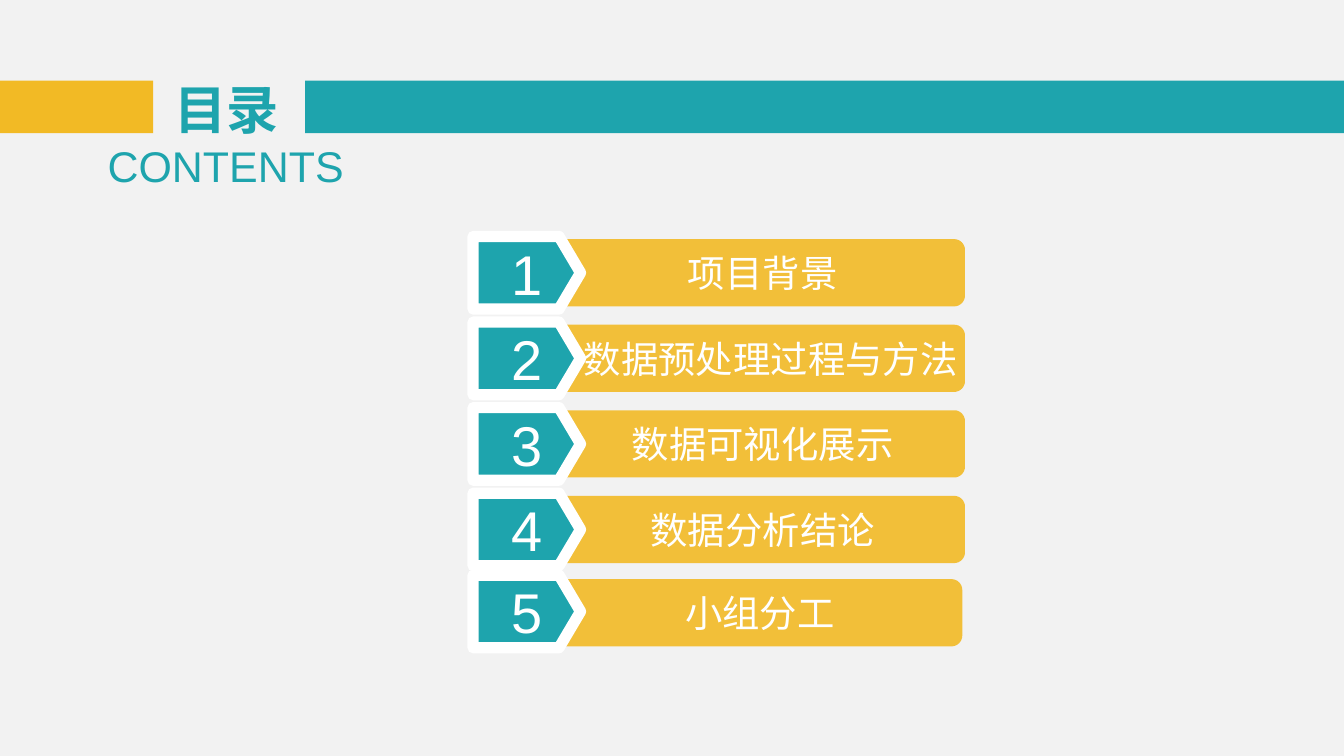
from dataclasses import dataclass
from math import cos, pi, sin

from lxml.etree import SubElement
from pptx import Presentation
from pptx.dml.color import RGBColor
from pptx.enum.shapes import MSO_SHAPE
from pptx.enum.text import MSO_ANCHOR, PP_ALIGN
from pptx.oxml.ns import qn
from pptx.util import Inches, Pt

TEAL, YELLOW, WHITE, GREY = "1EA4AD", "F2BA25", "FFFFFF", "F2F2F2"
FONT = "Arial"
BAR_WIDTH, BAR_HEIGHT, BAR_RADIUS = 3.01, 0.5, 0.08
TAG_LEFT, TAG_WIDTH, TAG_HEIGHT, TAG_POINT = 3.52, 0.8, 0.54, 0.16


@dataclass
class Entry:
    number: int
    title: str
    tag_top: float
    bar_left: float = 4.17
    bar_drop: float = 0.02
    indent: float = 0


def paint(fill, color: str) -> None:
    fill.solid()
    fill.fore_color.rgb = RGBColor.from_string(color)


def write(shape, text: str, size: float, color: str, bold: bool = False,
          anchor=MSO_ANCHOR.MIDDLE, indent: float = 0) -> None:
    frame = shape.text_frame
    frame.word_wrap = True
    frame.vertical_anchor = anchor
    frame.margin_left = Inches(indent)
    frame.margin_right = frame.margin_top = frame.margin_bottom = 0
    para = frame.paragraphs[0]
    para.alignment = PP_ALIGN.CENTER
    span = para.add_run()
    span.text = text
    span.font.name = FONT
    span.font.size = Pt(size)
    span.font.bold = bold
    span.font.color.rgb = RGBColor.from_string(color)


def add_band(page, left: float, width: float, color: str) -> None:
    band = page.shapes.add_shape(MSO_SHAPE.RECTANGLE, Inches(left), Inches(0.6),
                                 Inches(width), Inches(0.39))
    band.shadow.inherit = False
    paint(band.fill, color)
    band.line.fill.background()


def add_label(page, left: float, top: float, width: float, height: float,
              text: str, size: float, bold: bool, anchor) -> None:
    box = page.shapes.add_textbox(Inches(left), Inches(top),
                                  Inches(width), Inches(height))
    write(box, text, size, TEAL, bold, anchor)


def add_outline(page, points: list[tuple[float, float]], color: str):
    corners = [(Inches(x), Inches(y)) for x, y in points]
    builder = page.shapes.build_freeform(*corners[0])
    builder.add_line_segments(corners[1:], close=True)
    shape = builder.convert_to_shape()
    shape.shadow.inherit = False
    paint(shape.fill, color)
    return shape


def add_bar(page, entry: Entry) -> None:
    left, top = entry.bar_left, entry.tag_top + entry.bar_drop
    right, bottom = left + BAR_WIDTH, top + BAR_HEIGHT
    angles = [step * pi / 16 for step in range(9)]
    upper = [(right - BAR_RADIUS * (1 - sin(a)), top + BAR_RADIUS * (1 - cos(a)))
             for a in angles]
    lower = [(x, top + bottom - y) for x, y in reversed(upper)]
    bar = add_outline(page, [(left, top), *upper, *lower, (left, bottom)], YELLOW)
    bar.line.fill.background()
    color = bar._element.spPr.find(qn("a:solidFill")).find(qn("a:srgbClr"))
    SubElement(color, qn("a:alpha"), val="90000")
    write(bar, entry.title, 20, WHITE, indent=entry.indent)


def add_tag(page, entry: Entry) -> None:
    top, bottom = entry.tag_top, entry.tag_top + TAG_HEIGHT
    right = TAG_LEFT + TAG_WIDTH
    tag = add_outline(page, [
        (TAG_LEFT, top), (right - TAG_POINT, top), (right, top + TAG_HEIGHT / 2),
        (right - TAG_POINT, bottom), (TAG_LEFT, bottom)], TEAL)
    paint(tag.line.fill, WHITE)
    tag.line.width = Pt(6)
    SubElement(tag._element.spPr.find(qn("a:ln")), qn("a:round"))
    write(tag, str(entry.number), 30, WHITE)


def main() -> None:
    deck = Presentation()
    deck.slide_width = Inches(10)
    deck.slide_height = Inches(10 * 9 / 16)
    page = deck.slides.add_slide(deck.slide_layouts[6])
    paint(page.background.fill, GREY)

    # Heading
    add_band(page, 0, 1.14, YELLOW)
    add_band(page, 2.27, 7.73, TEAL)
    add_label(page, 1.24, 0.57, 0.89, 0.48, "目录", 28, True, MSO_ANCHOR.MIDDLE)
    add_label(page, 0.67, 1.04, 2.02, 0.39, "CONTENTS", 23, False, MSO_ANCHOR.TOP)

    # Numbered entries: the first four are evenly spaced
    first, fourth = 1.76, 3.67
    pitch = (fourth - first) / 3
    entries = [
        Entry(1, "项目背景", first),
        Entry(2, "数据预处理过程与方法", first + pitch, indent=0.12),
        Entry(3, "数据可视化展示", first + 2 * pitch),
        Entry(4, "数据分析结论", fourth),
        Entry(5, "小组分工", 4.28, bar_left=4.15, bar_drop=0.03),
    ]
    for entry in entries:
        add_bar(page, entry)
        add_tag(page, entry)

    deck.save("out.pptx")


if __name__ == "__main__":
    main()
